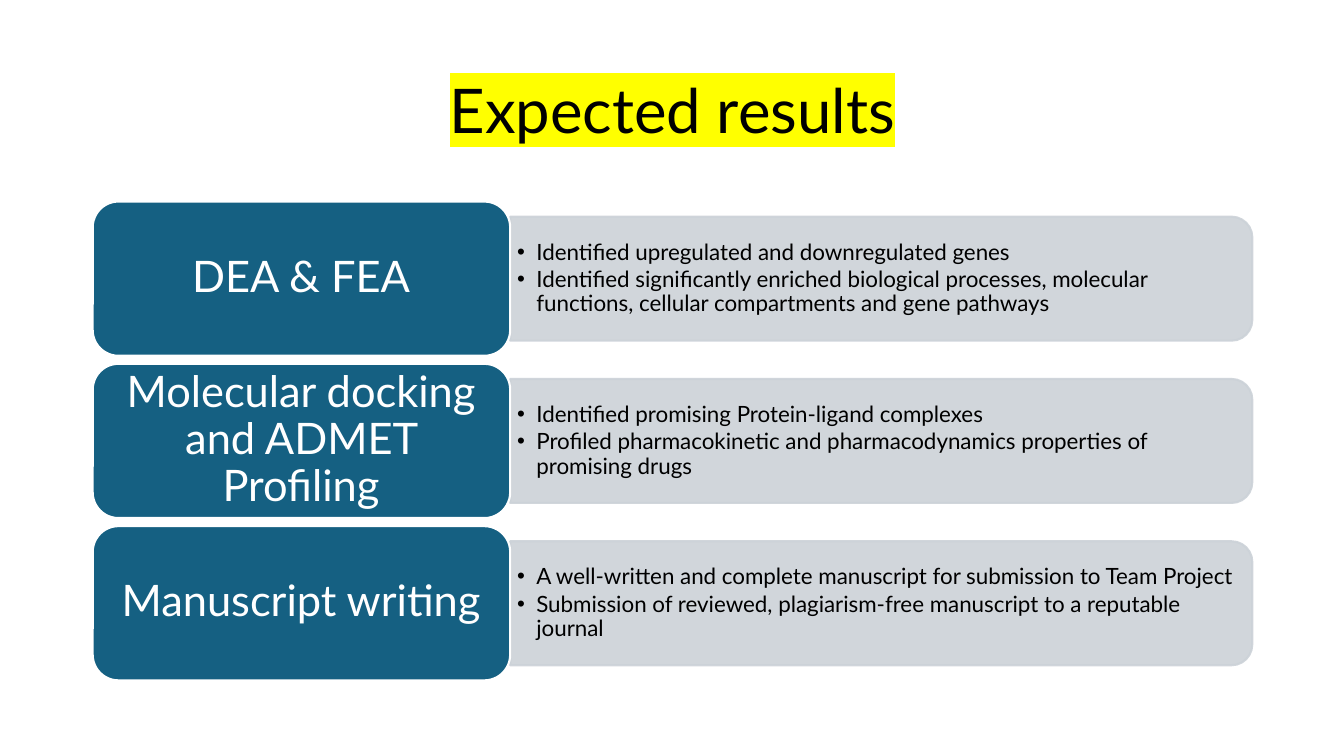
import pptx
import pptx.util
import pptx.dml.color
import pptx.enum.shapes
import pptx.enum.text
import pptx.oxml
import pptx.oxml.ns
from lxml import etree

Inches = pptx.util.Inches
Pt = pptx.util.Pt
RGB = pptx.dml.color.RGBColor.from_string
SHAPE = pptx.enum.shapes.MSO_SHAPE
ALIGN = pptx.enum.text.PP_ALIGN
qn = pptx.oxml.ns.qn

COLORS = {"panel": "CCD2D8", "label": "156082", "white": "FFFFFF",
          "text": "000000", "highlight": "FFFF00"}


def add_block(kind, box, color, outline, rotation=0):
    sp = slide.shapes.add_shape(kind, *[Inches(v) for v in box])
    sp.rotation = rotation
    sp.shadow.inherit = False
    sp.fill.solid()
    sp.fill.fore_color.rgb = RGB(COLORS[color])
    sp.line.color.rgb = RGB(COLORS[outline])
    sp.line.width = Pt(1.5)
    return sp


def add_text(box, lines, size, color, align, inset):
    tf = slide.shapes.add_textbox(*[Inches(v) for v in box]).text_frame
    tf.word_wrap = True
    tf.vertical_anchor = pptx.enum.text.MSO_ANCHOR.MIDDLE
    tf.margin_left = tf.margin_right = Inches(inset[0])
    tf.margin_top = tf.margin_bottom = Inches(inset[1])
    for i, line in enumerate(lines):
        p = tf.paragraphs[0] if i == 0 else tf.add_paragraph()
        p.alignment = align
        p.line_spacing = 0.9
        r = p.add_run()
        r.text = line
        r.font.size = Pt(size)
        r.font.name = "Lato"
        r.font.color.rgb = RGB(COLORS[color])
    return tf


prs = pptx.Presentation()
prs.slide_width = Inches(13.33)
prs.slide_height = Inches(7.5)
slide = prs.slides.add_slide(prs.slide_layouts[6])

tf = add_text((0.92, 0.4, 11.5, 1.45), ["Expected results"], 44, "text",
              ALIGN.CENTER, (0.1, 0.05))
highlight = pptx.oxml.parse_xml(
    '<a:highlight xmlns:a="http://schemas.openxmlformats.org/drawingml/2006/main">'
    f'<a:srgbClr val="{COLORS["highlight"]}"/></a:highlight>')
rPr = tf.paragraphs[0].runs[0].font._element
rPr.find(qn("a:solidFill")).addnext(highlight)

rows = [
    ("DEA & FEA",
     ["Identified upregulated and downregulated genes",
      "Identified significantly enriched biological processes, molecular "
      "functions, cellular compartments and gene pathways"]),
    ("Molecular docking and ADMET Profiling",
     ["Identified promising Protein-ligand complexes",
      "Profiled pharmacokinetic and pharmacodynamics properties of promising drugs"]),
    ("Manuscript writing",
     ["A well-written and complete manuscript for submission to Team Project",
      "Submission of reviewed, plagiarism-free manuscript to a reputable journal"]),
]
left, label_w, label_h, pitch = 0.92, 4.14, 1.53, 1.61
panel_w, panel_h = 7.36, 1.23
panel_left = left + label_w

for i, (label, results) in enumerate(rows):
    top = 2 + i * pitch
    middle = top + label_h / 2

    sp = add_block(SHAPE.ROUND_2_SAME_RECTANGLE,
                   (panel_left + (panel_w - panel_h) / 2, middle - panel_w / 2,
                    panel_h, panel_w), "panel", "panel", 90)
    for clr in sp._element.spPr.iter(qn("a:srgbClr")):
        etree.SubElement(clr, qn("a:alpha")).set("val", "90000")

    tf = add_text((panel_left, middle - 0.555, 7.3, 1.11), results, 16, "text",
                  ALIGN.LEFT, (0.07, 0.03))
    for p in tf.paragraphs:
        p.space_after = Pt(2.4)
        pPr = p._p.get_or_add_pPr()
        pPr.set("marL", str(Inches(0.19)))
        pPr.set("indent", str(-Inches(0.19)))
        etree.SubElement(pPr, qn("a:buFont")).set("typeface", "Arial")
        etree.SubElement(pPr, qn("a:buChar")).set("char", "•")

    add_block(SHAPE.ROUNDED_RECTANGLE, (left, top, label_w, label_h), "label", "white")
    add_text((left + 0.07, top + 0.07, 3.99, 1.38), [label], 31, "white",
             ALIGN.CENTER, (0.13, 0.06))

prs.save("out.pptx")
